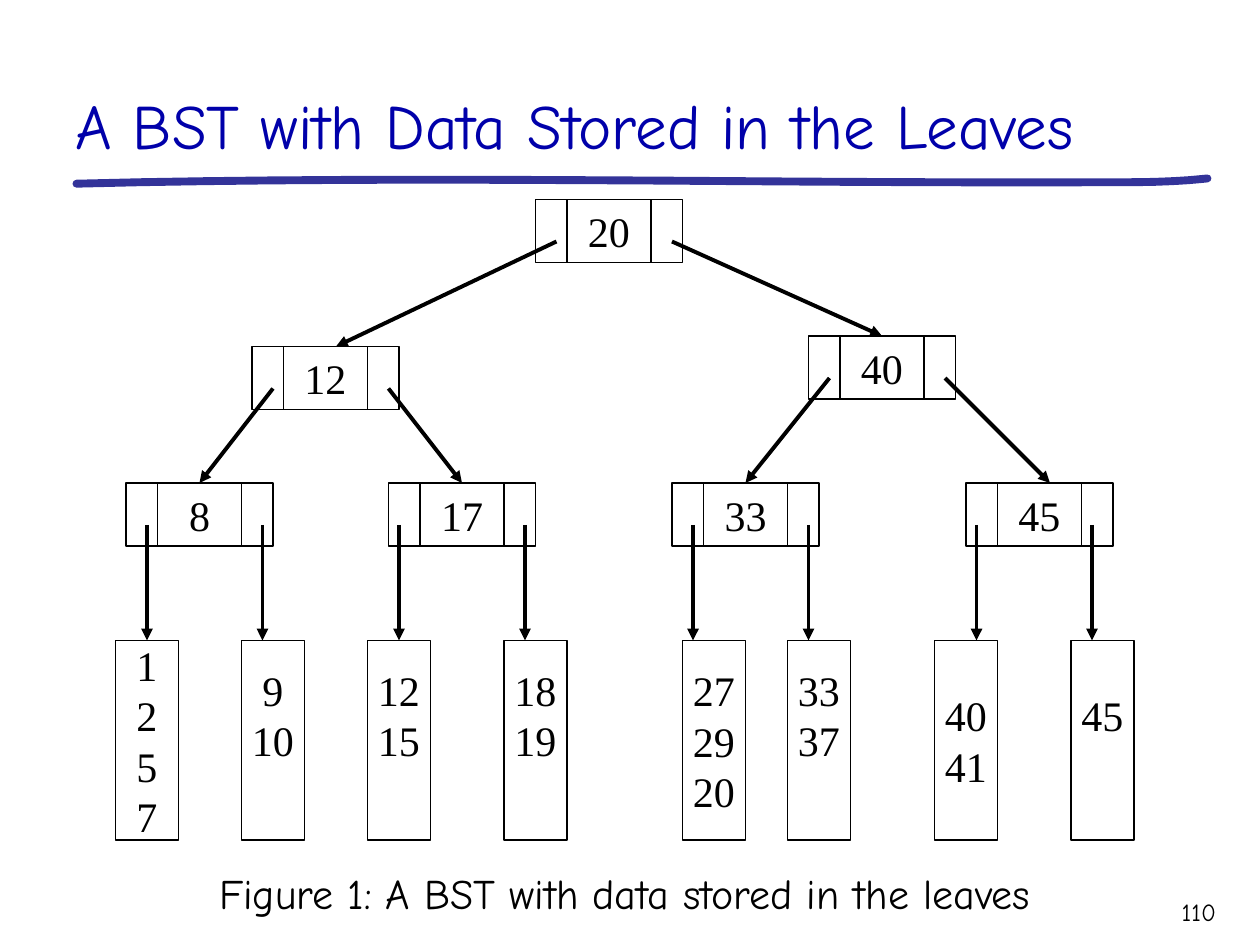
from dataclasses import dataclass
from lxml.etree import SubElement
from pptx import Presentation
from pptx.dml.color import RGBColor
from pptx.enum.shapes import MSO_CONNECTOR, MSO_SHAPE
from pptx.enum.text import MSO_ANCHOR, PP_ALIGN
from pptx.oxml.ns import qn
from pptx.util import Pt


@dataclass(frozen=True)
class Theme:
    black: RGBColor = RGBColor(0, 0, 0)
    blue: RGBColor = RGBColor(0, 0, 0xAA)
    rule: RGBColor = RGBColor(0x33, 0x33, 0x99)
    sans: str = "Comic Neue"
    serif: str = "Times New Roman"
    title: float = 36
    body: float = 24
    small: float = 14
    thin: float = 0.75
    bold: float = 2.25
    thick: float = 4.5


THEME = Theme()
NODE_W, NODE_H, SIDE = 84, 36, 18
LEAF_W, LEAF_H, LEAF_Y = 36, 114, 366
LINE = 28.8  # height of one text line

# Nodes: key, left, top, arrow starts (from the left edge), arrow tip
NODES = [
    ("20", 306, 114, (12, 78), 42),
    ("12", 144, 198, (12, 78), 48),
    ("40", 462, 192, (12, 78), 42),
    ("8", 72, 276, (12, 78), 42),
    ("17", 222, 276, (6, 78), 42),
    ("33", 384, 276, (12, 78), 42),
    ("45", 552, 276, (6, 72), 48),
]
# Leaves: left, values, free lines below them
LEAVES = [
    (66, "1 2 5 7", 0), (138, "9 10", 1), (210, "12 15", 1), (288, "18 19", 1),
    (390, "27 29 20", 0), (450, "33 37", 1), (534, "40 41", 0), (612, "45", 1),
]


def write(frame, lines, font, size, color, align):
    for i, line in enumerate(lines):
        para = frame.paragraphs[0] if i == 0 else frame.add_paragraph()
        para.alignment = align
        run = para.add_run()
        run.text = line
        run.font.name = font
        run.font.size = Pt(size)
        run.font.color.rgb = color


def label(slide, box, text, size, color, align, anchor=MSO_ANCHOR.TOP):
    frame = slide.shapes.add_textbox(*map(Pt, box)).text_frame
    frame.word_wrap = True
    frame.vertical_anchor = anchor
    write(frame, [text], THEME.sans, size, color, align)


def line(slide, start, end, width, arrow=False):
    link = slide.shapes.add_connector(
        MSO_CONNECTOR.STRAIGHT, *map(Pt, (*start, *end)))
    link.line.color.rgb = THEME.black
    link.line.width = Pt(width)
    if arrow:
        SubElement(link.line._get_or_add_ln(), qn("a:tailEnd"), type="triangle")
    SubElement(link._element.spPr, qn("a:effectLst"))


def cell(slide, box, lines, free=0):
    rect = slide.shapes.add_shape(MSO_SHAPE.RECTANGLE, *map(Pt, box))
    rect.shadow.inherit = False
    rect.fill.background()
    rect.line.color.rgb = THEME.black
    rect.line.width = Pt(THEME.thin)
    frame = rect.text_frame
    frame.word_wrap = False
    frame.vertical_anchor = MSO_ANCHOR.MIDDLE
    frame.margin_bottom = Pt(3.6 + free * LINE)
    write(frame, lines, THEME.serif, THEME.body, THEME.black, PP_ALIGN.CENTER)


def node(slide, box, key):
    x, y, w, h = box
    cell(slide, box, [key])
    for at in (x + SIDE, x + w - SIDE):
        line(slide, (at, y), (at, y + h), THEME.thin)


def curve(a, b, c, d, steps=16):
    """Points on a cubic curve after its start."""
    for i in range(1, steps + 1):
        t = i / steps
        u = 1 - t
        yield tuple(u**3 * p + 3 * u * u * t * q + 3 * u * t * t * r + t**3 * s
                    for p, q, r, s in zip(a, b, c, d))


def header(slide, box):
    x, y, w, h = box
    # Hand-drawn rule under the title
    left, mid, right = (x + 7.7, y + 93), (x + 595, y + 92.2), (x + 654, y + 90)
    dots = [*curve(left, (x + 204, y + 88), (x + 400, y + 93), mid),
            *curve(mid, (x + 615, y + 92.2), (x + 634, y + 92.2), right)]
    pen = slide.shapes.build_freeform(Pt(left[0]), Pt(left[1]))
    pen.add_line_segments([(Pt(p), Pt(q)) for p, q in dots], close=False)
    rule = pen.convert_to_shape()
    rule.shadow.inherit = False
    rule.fill.background()
    rule.line.color.rgb = THEME.rule
    rule.line.width = Pt(THEME.thick)
    ln = rule.line._get_or_add_ln()
    ln.set("cap", "rnd")
    SubElement(ln, qn("a:round"))
    # Title
    label(slide, box, "A BST with Data Stored in the Leaves", THEME.title,
          THEME.blue, PP_ALIGN.LEFT, MSO_ANCHOR.BOTTOM)


def tree(slide, box):
    x, y = box[:2]
    spots = [(x + a, y + b, starts, tip) for _, a, b, starts, tip in NODES]
    # Nodes and leaves
    for (key, *_), (a, b, *_) in zip(NODES, spots):
        node(slide, (a, b, NODE_W, NODE_H), key)
    for a, text, free in LEAVES:
        cell(slide, (x + a, y + LEAF_Y, LEAF_W, LEAF_H), text.split(), free)
    # Arrows: node i points to nodes 2i+1 and 2i+2, the last row to leaves
    for i, (a, b, starts, _) in enumerate(spots):
        for k, start in enumerate(starts, 2 * i + 1):
            if k < len(spots):
                c, d, _, tip = spots[k]
                end = (c + tip, d)
            else:
                end = (a + start, y + LEAF_Y)
            line(slide, (a + start, b + 24), end, THEME.bold, True)


def footer(slide, box):
    x, y, w, h = box
    label(slide, (x, y, w, h), "Figure 1: A BST with data stored in the leaves",
          THEME.body, THEME.black, PP_ALIGN.CENTER)
    label(slide, (x + 564, y + 17, 72, 25), "110",
          THEME.small, THEME.black, PP_ALIGN.RIGHT)


def main():
    deck = Presentation()
    deck.slide_width, deck.slide_height = Pt(720), Pt(540)
    slide = deck.slides.add_slide(deck.slide_layouts[6])
    header(slide, (36, 12, 666, 84))
    tree(slide, (0, 0, 720, 480))
    footer(slide, (66, 492, 582, 36))
    deck.save("out.pptx")


if __name__ == "__main__":
    main()
